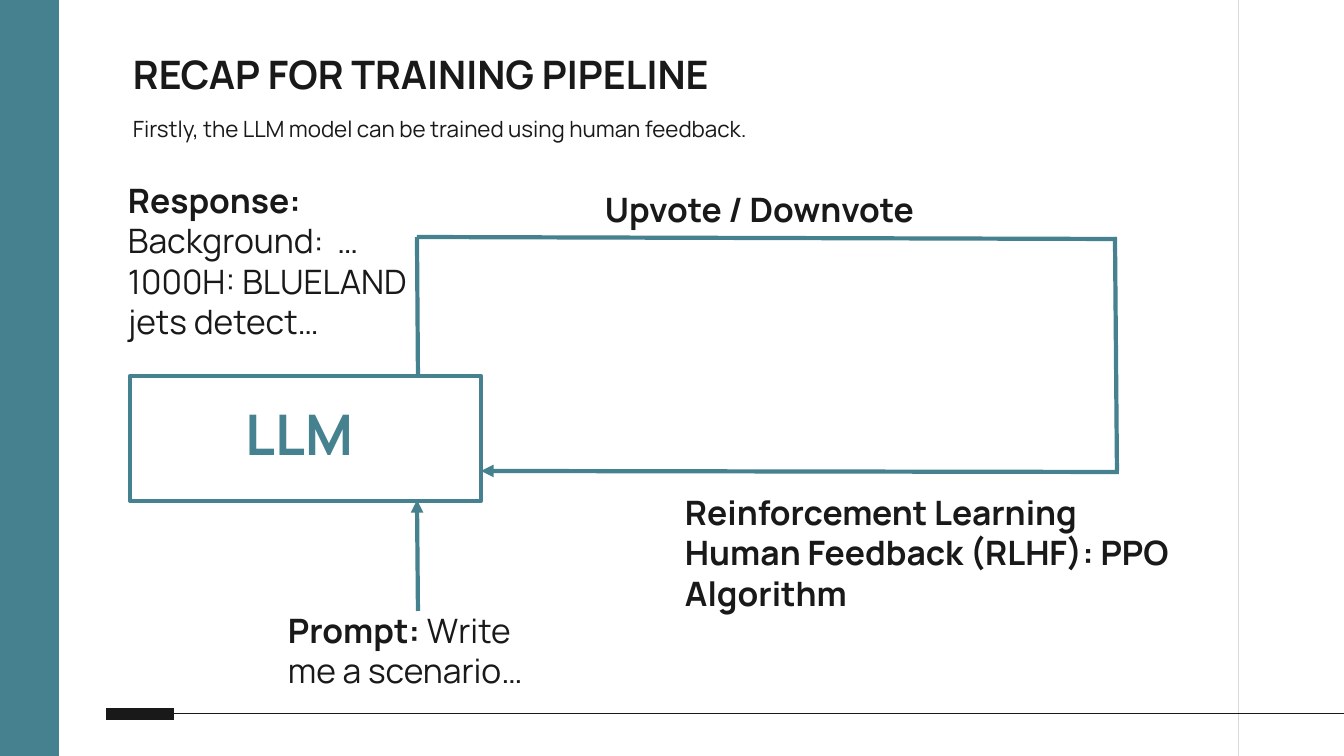
"""Build the training pipeline recap slide."""
from lxml.etree import SubElement as Sub
from pptx import Presentation
from pptx.dml.color import RGBColor as Rgb
from pptx.enum.shapes import MSO_CONNECTOR as Link, MSO_SHAPE as Kind
from pptx.enum.text import MSO_ANCHOR as Anchor, MSO_AUTO_SIZE as Fit, PP_ALIGN as Align
from pptx.oxml.ns import qn
from pptx.util import Pt

PX = 914400 / 100.8
FONT = "Manrope"
HUES = {"teal": "45818E", "ink": "191919", "rule": "D9D9D9"}

TITLE = "RECAP FOR TRAINING PIPELINE"
LEAD = "Firstly, the LLM model can be trained using human feedback."
BAND = (0, 0, 59, 756)
MODEL = (130, 376, 351, 125)

RULES = [
    (1239, -5, 1239, 761, "rule", 0.75),
    (106, 714, 174, 714, "ink", 9),
    (174, 714, 1361, 714, "ink", 0.75),
]
LOOP = [
    (417, 237, 418, 376, False),
    (417, 237, 1116, 239, False),
    (1115, 237, 1117, 471, False),
    (1119, 472, 481, 471, True),
    (418, 611, 417, 500, True),
]
NOTES = [
    ((128, 180, 299, 164), [[("Response:", True)], [("Background:  …", False)],
                            [("1000H: BLUELAND jets detect…", False)]]),
    ((288, 610, 269, 82), [[("Prompt: ", True), ("Write me a scenario…", False)]]),
    ((605, 189, 356, 42), [[("Upvote / Downvote", True)]]),
    ((685, 492, 505, 122), [[("Reinforcement Learning Human Feedback (RLHF): PPO Algorithm", True)]]),
]


def emu(*nums):
    return [round(n * PX) for n in nums]


def hue(name):
    return Rgb.from_string(HUES[name])


def style(font, size, color="ink", bold=None):
    font.name, font.size, font.bold = FONT, Pt(size), bold
    font.color.rgb = hue(color)


def setup(frame, anchor=Anchor.TOP):
    frame.word_wrap = True
    frame.auto_size = Fit.NONE
    frame.vertical_anchor = anchor
    frame.margin_left = frame.margin_right = 0
    frame.margin_top = frame.margin_bottom = 0


def fill(holder, box, text, size, bold, align):
    holder.left, holder.top, holder.width, holder.height = emu(*box)
    frame = holder.text_frame
    setup(frame)
    frame.text = text
    para = frame.paragraphs[0]
    para.alignment = align
    para.space_before = Pt(0)
    style(para.font, size, bold=bold)
    return para


def block(slide, box, color=None):
    shape = slide.shapes.add_shape(Kind.RECTANGLE, *emu(*box))
    shape.shadow.inherit = False
    if color:
        shape.fill.solid()
        shape.fill.fore_color.rgb = hue(color)
        shape.line.fill.background()
    else:
        shape.fill.background()
    return shape


def line(slide, ends, color="teal", width=3, arrow=False):
    link = slide.shapes.add_connector(Link.STRAIGHT, *emu(*ends))
    link.line.color.rgb = hue(color)
    link.line.width = Pt(width)
    if arrow:
        Sub(link.line._get_or_add_ln(), qn("a:tailEnd"), type="triangle")
    Sub(link._element.spPr, qn("a:effectLst"))


def note(slide, box, paras):
    frame = slide.shapes.add_textbox(*emu(*box)).text_frame
    setup(frame)
    for n, runs in enumerate(paras):
        para = frame.add_paragraph() if n else frame.paragraphs[0]
        for text, bold in runs:
            run = para.add_run()
            run.text = text
            run.font.bold = bold
        style(para.font, 24)


def main():
    deck = Presentation()
    deck.slide_width, deck.slide_height = emu(1344, 756)
    slide = deck.slides.add_slide(deck.slide_layouts[1])
    block(slide, BAND, "teal")
    for *ends, color, width in RULES:
        line(slide, ends, color, width)

    fill(slide.shapes.title, (133, 50, 1106, 58), TITLE, 28, True, Align.LEFT)
    lead = fill(slide.placeholders[1], (133, 115, 1077, 58), LEAD, 16, False, Align.JUSTIFY)
    props = lead._p.get_or_add_pPr()
    props.set("marL", "0")
    props.set("indent", "0")
    props.insert_element_before(props.makeelement(qn("a:buNone")), "a:tabLst", "a:defRPr")

    model = block(slide, MODEL)
    model.line.color.rgb = hue("teal")
    model.line.width = Pt(3)
    frame = model.text_frame
    setup(frame, Anchor.MIDDLE)
    frame.margin_right, frame.margin_bottom = emu(12, 10)
    frame.text = "LLM"
    para = frame.paragraphs[0]
    para.alignment = Align.CENTER
    style(para.font, 40, "teal", True)

    for *ends, arrow in LOOP:
        line(slide, ends, arrow=arrow)
    for box, paras in NOTES:
        note(slide, box, paras)
    deck.save("out.pptx")


if __name__ == "__main__":
    main()
